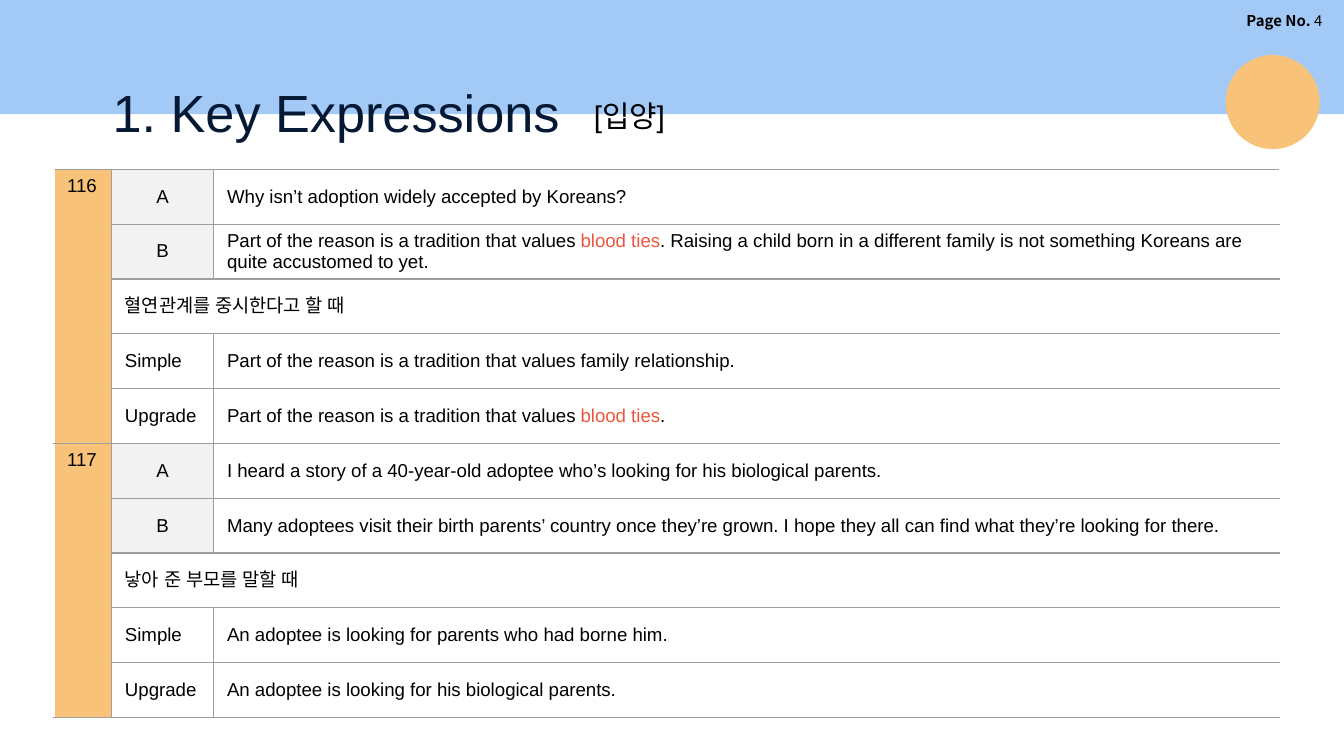
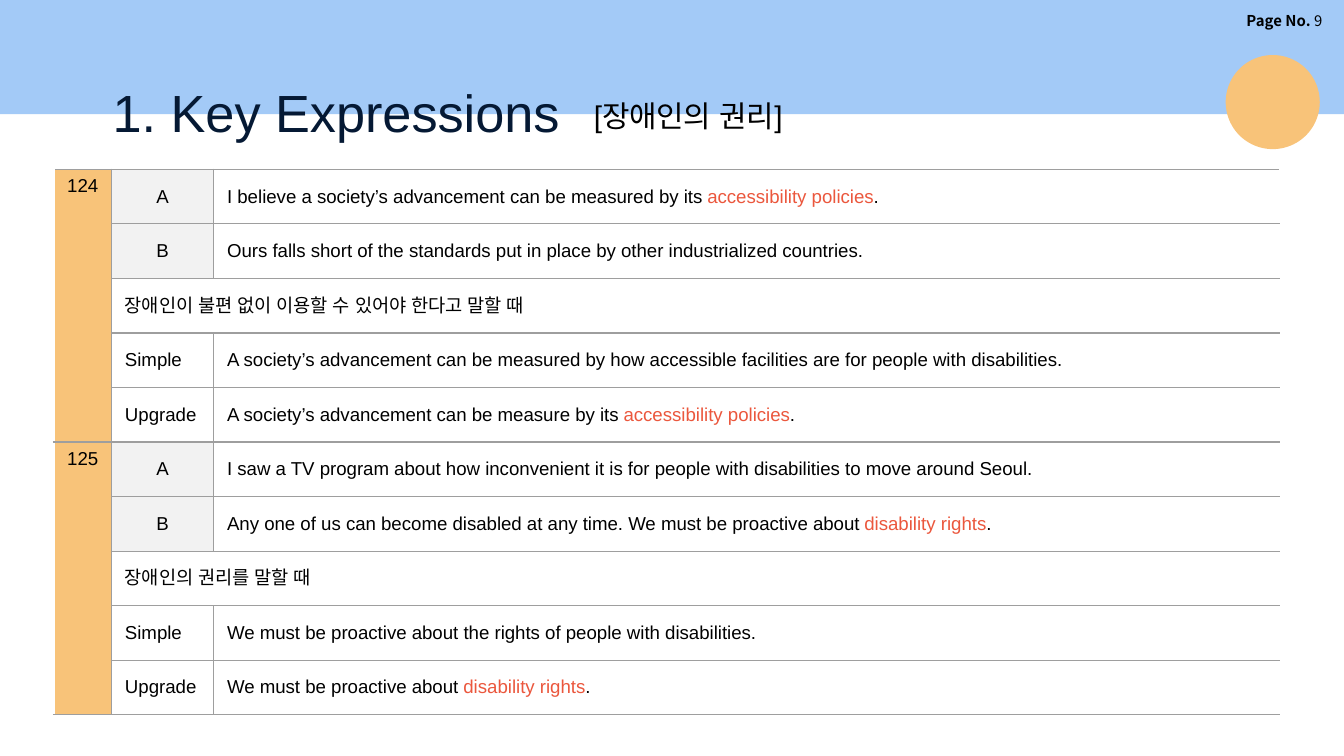
import pptx
import pptx.dml.color
import pptx.enum.shapes
import pptx.enum.text
import pptx.util
from dataclasses import dataclass
from lxml import etree
from pptx.oxml.ns import qn

Inches = pptx.util.Inches
Pt = pptx.util.Pt
Align = pptx.enum.text.PP_ALIGN
Anchor = pptx.enum.text.MSO_ANCHOR
Shape = pptx.enum.shapes.MSO_SHAPE

TITLE = "1. Key Expressions"
LABELS = ("A", "B", None, "Simple", "Upgrade")
PAGES = [
    {"page": "4", "topic": "[입양]", "height": 4.08, "units": [
        ("116", [
            "Why isn’t adoption widely accepted by Koreans?",
            "Part of the reason is a tradition that values *blood ties*. Raising a child born in a "
            "different family is not something Koreans are quite accustomed to yet.",
            "혈연관계를 중시한다고 할 때",
            "Part of the reason is a tradition that values family relationship.",
            "Part of the reason is a tradition that values *blood ties*.",
        ]),
        ("117", [
            "I heard a story of a 40-year-old adoptee who’s looking for his biological parents.",
            "Many adoptees visit their birth parents’ country once they’re grown. I hope they all "
            "can find what they’re looking for there.",
            "낳아 준 부모를 말할 때",
            "An adoptee is looking for parents who had borne him.",
            "An adoptee is looking for his biological parents.",
        ]),
    ]},
    {"page": "9", "topic": "[장애인의 권리]", "height": 4.06, "units": [
        ("124", [
            "I believe a society’s advancement can be measured by its *accessibility policies*.",
            "Ours falls short of the standards put in place by other industrialized countries.",
            "장애인이 불편 없이 이용할 수 있어야 한다고 말할 때",
            "A society’s advancement can be measured by how accessible facilities are for people "
            "with disabilities.",
            "A society’s advancement can be measure by its *accessibility policies*.",
        ]),
        ("125", [
            "I saw a TV program about how inconvenient it is for people with disabilities to move "
            "around Seoul.",
            "Any one of us can become disabled at any time. We must be proactive about "
            "*disability rights*.",
            "장애인의 권리를 말할 때",
            "We must be proactive about the rights of people with disabilities.",
            "We must be proactive about *disability rights*.",
        ]),
    ]},
]


@dataclass(frozen=True)
class Theme:
    band: str = "A3CAF7"
    gold: str = "F8C379"
    pale: str = "F2F2F2"
    navy: str = "051934"
    red: str = "EB573D"
    black: str = "000000"
    white: str = "FFFFFF"
    grey: str = "9E9E9E"
    font: str = "Arial"
    sans: str = "Noto Sans CJK KR"
    head: int = 28
    topic: int = 16
    body: int = 10
    small: int = 8


LOOK = Theme()
COLS = (0.43, 0.76, 7.93)


def rgb(code):
    return pptx.dml.color.RGBColor.from_string(code)


def write(frame, text, size=LOOK.body, color=LOOK.black, hot=LOOK.red, font=LOOK.font,
          bold=False, align=Align.LEFT, space=1.0):
    para = frame.paragraphs[0]
    para.alignment = align
    para.line_spacing = space
    for index, part in enumerate(text.split("*")):
        if part:
            marked = index % 2 == 1
            run = para.add_run()
            run.text = part
            run.font.size = Pt(size)
            run.font.bold = bold and marked
            run.font.color.rgb = rgb(hot if marked else color)
            run.font.name = font
            etree.SubElement(run.font._element, qn("a:ea"), typeface=font)


def label(slide, text, area, pad=(0.1, 0.05), anchor=Anchor.TOP, **style):
    frame = slide.shapes.add_textbox(*map(Inches, area)).text_frame
    frame.word_wrap = True
    frame.vertical_anchor = anchor
    frame.margin_left = frame.margin_right = Inches(pad[0])
    frame.margin_top = frame.margin_bottom = Inches(pad[1])
    write(frame, text, **style)


def block(slide, kind, area, color):
    shape = slide.shapes.add_shape(kind, *map(Inches, area))
    shape.shadow.inherit = False
    shape.fill.solid()
    shape.fill.fore_color.rgb = rgb(color)
    shape.line.fill.background()


def edge(cell, first, last):
    props = cell._tc.get_or_add_tcPr()
    for side in "LRTB":
        outer = side == "L" and first or side == "R" and last
        line = etree.SubElement(props, qn(f"a:ln{side}"), w=str(Pt(1 if outer else 0.75)))
        fill = etree.SubElement(line, qn("a:solidFill"))
        etree.SubElement(fill, qn("a:srgbClr"), val=LOOK.white if outer else LOOK.grey)


def put(cell, text, fill=None, first=False, last=False, anchor=Anchor.MIDDLE, **style):
    edge(cell, first, last)
    if fill:
        cell.fill.solid()
        cell.fill.fore_color.rgb = rgb(fill)
    else:
        cell.fill.background()
    cell.vertical_anchor = anchor
    cell.margin_left = Inches(0.1)
    cell.margin_right = Inches(0.05 if first else 0.1)
    cell.margin_top = cell.margin_bottom = Inches(0.05 if first else 0.03)
    write(cell.text_frame, text, **style)


def grid(slide, units, height):
    step = len(LABELS)
    count = step * len(units)
    area = (0.4, 1.26, sum(COLS), height)
    table = slide.shapes.add_table(count, len(COLS), *map(Inches, area)).table
    table.first_row = table.horz_banding = False
    for col, width in zip(table.columns, COLS):
        col.width = Inches(width)
    for row in table.rows:
        row.height = Inches(height / count)
    for index, (number, lines) in enumerate(units):
        top = index * step
        table.cell(top, 0).merge(table.cell(top + step - 1, 0))
        put(table.cell(top, 0), number, LOOK.gold, first=True, anchor=Anchor.TOP)
        for row, (name, line) in enumerate(zip(LABELS, lines), top):
            left, right = table.cell(row, 1), table.cell(row, 2)
            if name is None:
                left.merge(right)
                put(left, line, last=True)
                continue
            talk = name in ("A", "B")
            put(left, name, LOOK.pale if talk else None,
                align=Align.CENTER if talk else Align.LEFT)
            put(right, line, last=True)


def build(deck, data):
    slide = deck.slides.add_slide(deck.slide_layouts[6])
    block(slide, Shape.RECTANGLE, (0, 0, 10, 0.85), LOOK.band)
    label(slide, f"*Page No. *{data['page']}", (8.48, 0.04, 1.45, 0.23), (0.09, 0.05),
          size=LOOK.small, font=LOOK.sans, hot=LOOK.black, bold=True, align=Align.RIGHT)
    label(slide, TITLE, (0.74, 0.49, 3.58, 0.63), (0.1, 0.1), Anchor.MIDDLE,
          size=LOOK.head, color=LOOK.navy, space=1.1)
    grid(slide, data["units"], data["height"])
    label(slide, data["topic"], (4.32, 0.68, 2.44, 0.37), size=LOOK.topic)
    block(slide, Shape.OVAL, (9.12, 0.41, 0.7, 0.7), LOOK.gold)


def main():
    deck = pptx.Presentation()
    deck.slide_width = Inches(10)
    deck.slide_height = deck.slide_width * 9 // 16
    for data in PAGES:
        build(deck, data)
    deck.save("out.pptx")


if __name__ == "__main__":
    main()
